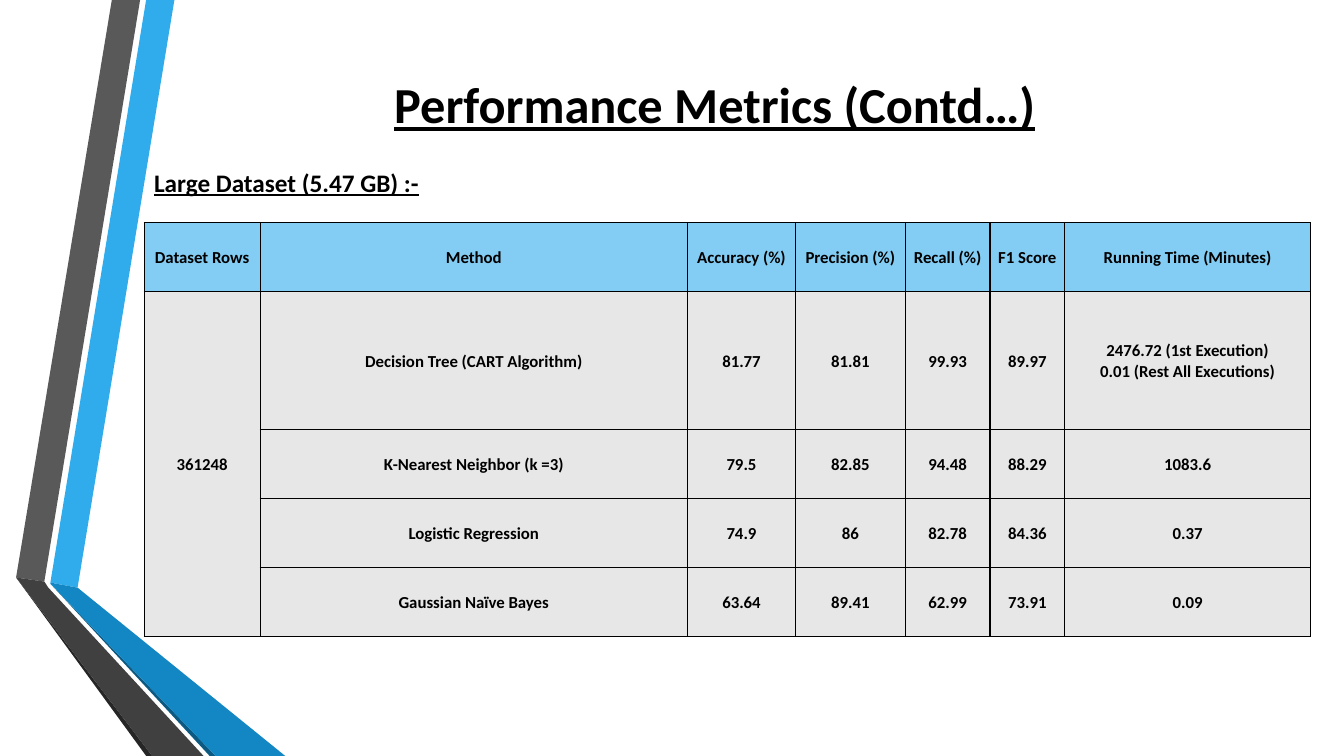
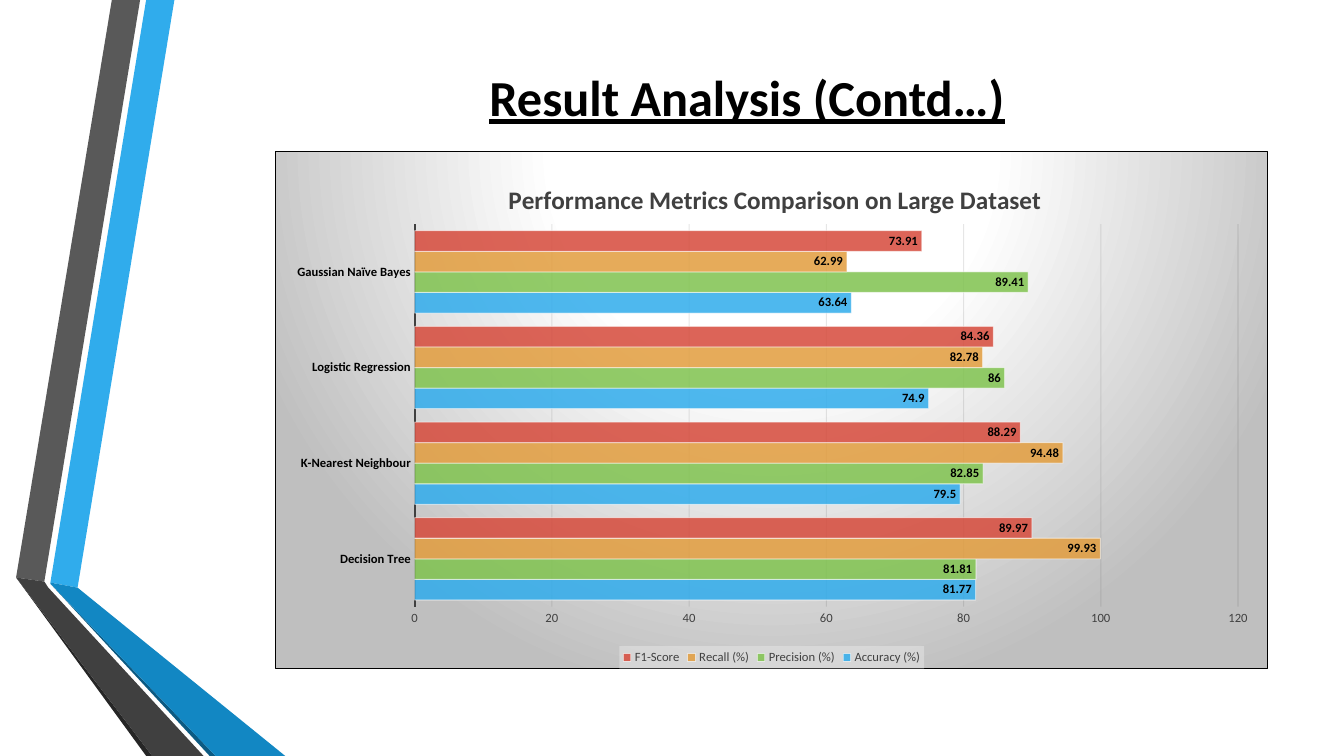
"""Build two slides on classifier performance for the large dataset."""
from dataclasses import dataclass
from typing import Optional

from pptx import Presentation
from pptx.chart.chart import Chart
from pptx.chart.data import CategoryChartData
from pptx.dml.color import RGBColor
from pptx.enum.chart import XL_CHART_TYPE as ChartType
from pptx.enum.chart import XL_LABEL_POSITION as LabelPosition
from pptx.enum.chart import XL_LEGEND_POSITION as LegendPosition
from pptx.enum.chart import XL_TICK_MARK as TickMark
from pptx.enum.text import MSO_ANCHOR as Anchor
from pptx.enum.text import PP_ALIGN as Align
from pptx.oxml import parse_xml
from pptx.oxml.ns import nsdecls, qn
from pptx.slide import Slide, SlideLayout
from pptx.table import _Cell as Cell
from pptx.text.text import Font, _Paragraph as Paragraph
from pptx.util import Inches, Pt


@dataclass(frozen=True)
class Theme:
    font: str = "Calibri"
    black: str = "000000"
    white: str = "FFFFFF"
    soft_text: str = "404040"
    grid: str = "0D0D0D"
    header_fill: str = "83CDF4"
    body_fill: str = "E7E7E7"
    chart_edge: str = "BFBFBF"
    legend_fill: str = "F2F2F2"
    title_size: int = 36
    heading_size: int = 18
    table_size: int = 12
    chart_size: int = 10
    label_size: int = 9


THEME = Theme()


@dataclass(frozen=True)
class Box:
    left: float
    top: float
    width: float
    height: float

    def emu(self) -> tuple:
        return tuple(Inches(v) for v in (self.left, self.top, self.width, self.height))


@dataclass(frozen=True)
class Band:
    color: str
    points: tuple


@dataclass(frozen=True)
class Measure:
    name: str
    color: str
    values: tuple


BANDS = (
    Band("30ACEC", ((0.5, 5.78), (0.77, 5.83), (1.73, 0), (1.45, 0))),
    Band("595959", ((1.39, 0), (1.11, 0), (0.16, 5.73), (0.44, 5.77))),
    Band("262626", ((0.16, 5.73), (1.45, 7.5), (1.51, 7.5))),
    Band("0C5A82", ((0.5, 5.79), (2.08, 7.5), (2.14, 7.5))),
    Band("1287C3", ((0.5, 5.79), (2.14, 7.5), (2.83, 7.5), (0.77, 5.83), (0.5, 5.78))),
    Band("404040", ((2.02, 7.5), (0.48, 5.83), (0.44, 5.77), (0.16, 5.73), (1.51, 7.5))),
)

MEASURES = (
    Measure("Accuracy (%)", "30ACEC", (81.77, 79.5, 74.9, 63.64)),
    Measure("Precision (%)", "80C34F", (81.81, 82.85, 86, 89.41)),
    Measure("Recall (%)", "E29D3E", (99.93, 94.48, 82.78, 62.99)),
    Measure("F1-Score", "D64A3B", (89.97, 88.29, 84.36, 73.91)),
)
CHART_METHODS = ("Decision Tree", "K-Nearest Neighbour", "Logistic Regression",
                 "Gaussian Naïve Bayes")

TABLE_HEADER = ("Dataset Rows", "Method", "Accuracy (%)", "Precision (%)", "Recall (%)",
                "F1 Score", "Running Time (Minutes)")
TABLE_METHODS = ("Decision Tree (CART Algorithm)", "K-Nearest Neighbor (k =3)",
                 "Logistic Regression", "Gaussian Naïve Bayes")
RUNNING_TIMES = ("2476.72 (1st Execution)\n0.01 (Rest All Executions)", "1083.6", "0.37", "0.09")
COLUMN_WIDTHS = (1.15, 4.24, 1.07, 1.09, 0.84, 0.74, 2.44)
ROW_UNITS = (1, 2, 1, 1, 1)


def rgb(color: str) -> RGBColor:
    return RGBColor.from_string(color)


def style_font(font: Font, size: int, color: str = THEME.black,
               bold: bool = False, underline: bool = False) -> None:
    font.name = THEME.font
    font.size = Pt(size)
    font.bold = bold
    font.underline = underline
    font.color.rgb = rgb(color)


def add_text(paragraph: Paragraph, text: str, size: int, underline: bool = False) -> None:
    for index, line in enumerate(text.split("\n")):
        if index:
            paragraph.add_line_break()
        run = paragraph.add_run()
        run.text = line
        style_font(run.font, size, bold=True, underline=underline)


def add_bands(slide: Slide, layout: SlideLayout) -> None:
    """Draw the side bands and place them on the layout behind its title."""
    for placeholder in list(layout.placeholders)[1:]:
        placeholder.element.getparent().remove(placeholder.element)
    for index, band in enumerate(BANDS):
        points = [(Inches(x), Inches(y)) for x, y in band.points]
        builder = slide.shapes.build_freeform(*points[0])
        builder.add_line_segments(points[1:], close=True)
        shape = builder.convert_to_shape()
        shape.shadow.inherit = False
        shape.fill.solid()
        shape.fill.fore_color.rgb = rgb(band.color)
        shape.line.fill.background()
        shape.element.nvSpPr.cNvPr.set("id", str(index + 10))
        layout.shapes.element.insert(index + 2, shape.element)


def set_title(slide: Slide, text: str, box: Box) -> None:
    title = slide.shapes.title
    title.left, title.top, title.width, title.height = box.emu()
    title.text_frame.vertical_anchor = Anchor.MIDDLE
    paragraph = title.text_frame.paragraphs[0]
    paragraph.alignment = Align.CENTER
    add_text(paragraph, text, THEME.title_size, underline=True)


def add_heading(slide: Slide, text: str, box: Box) -> None:
    frame = slide.shapes.add_textbox(*box.emu()).text_frame
    frame.word_wrap = True
    add_text(frame.paragraphs[0], text, THEME.heading_size, underline=True)


def style_cell(cell: Cell, fill: str) -> None:
    properties = cell._tc.get_or_add_tcPr()
    for side in ("lnL", "lnR", "lnT", "lnB"):
        properties.append(parse_xml(
            f'<a:{side} {nsdecls("a")} w="{Pt(1)}"><a:solidFill>'
            f'<a:srgbClr val="{THEME.black}"/></a:solidFill></a:{side}>'))
    cell.fill.solid()
    cell.fill.fore_color.rgb = rgb(fill)
    cell.vertical_anchor = Anchor.MIDDLE
    cell.margin_left = cell.margin_right = cell.margin_top = Inches(0.01)
    cell.margin_bottom = 0


def add_metrics_table(slide: Slide, box: Box) -> None:
    scores = zip(*(measure.values for measure in MEASURES))
    rows = [TABLE_HEADER]
    for index, (method, values, time) in enumerate(zip(TABLE_METHODS, scores, RUNNING_TIMES)):
        rows.append(("" if index else "361248", method, *map(str, values), time))
    table = slide.shapes.add_table(len(rows), len(TABLE_HEADER), *box.emu()).table
    table.horz_banding = False
    for column, width in zip(table.columns, COLUMN_WIDTHS):
        column.width = Inches(width)
    for row, units in zip(table.rows, ROW_UNITS):
        row.height = Inches(box.height * units / sum(ROW_UNITS))
    for row_index, texts in enumerate(rows):
        for column_index, text in enumerate(texts):
            cell = table.cell(row_index, column_index)
            style_cell(cell, THEME.body_fill if row_index else THEME.header_fill)
            paragraph = cell.text_frame.paragraphs[0]
            paragraph.alignment = Align.CENTER
            if text:
                add_text(paragraph, text, THEME.table_size)
    table.cell(1, 0).merge(table.cell(len(rows) - 1, 0))


def set_alpha(element, color_place: str, percent: int) -> None:
    for color in element.xpath(f"c:spPr/{color_place}a:solidFill/a:srgbClr"):
        color.append(parse_xml(f'<a:alpha {nsdecls("a")} val="{percent * 1000}"/>'))


def set_layout(element, x: float, y: float, size: Optional[tuple] = None) -> None:
    """Fix the place of a chart part, in fractions of the chart."""
    layout = element.find(qn("c:layout"))
    if layout is None:
        layout = parse_xml(f'<c:layout {nsdecls("c")}/>')
        element.insert(0, layout)
    target = '<c:layoutTarget val="inner"/>' if size else ""
    extent = f'<c:w val="{size[0]}"/><c:h val="{size[1]}"/>' if size else ""
    layout.append(parse_xml(
        f'<c:manualLayout {nsdecls("c")}>{target}<c:xMode val="edge"/><c:yMode val="edge"/>'
        f'<c:x val="{x}"/><c:y val="{y}"/>{extent}</c:manualLayout>'))


def style_axes(chart: Chart) -> None:
    category, value = chart.category_axis, chart.value_axis
    for axis in (category, value):
        axis.major_tick_mark = axis.minor_tick_mark = TickMark.NONE
    style_font(category.tick_labels.font, THEME.label_size, bold=True)
    category.format.line.color.rgb = rgb(THEME.soft_text)
    category.format.line.width = Pt(1.5)
    style_font(value.tick_labels.font, THEME.label_size, THEME.soft_text)
    value.format.line.fill.background()
    value.minimum_scale, value.maximum_scale, value.major_unit = 0, 120, 20
    value.has_major_gridlines = True
    gridlines = value.major_gridlines.format
    gridlines.line.color.rgb = rgb(THEME.grid)
    gridlines.line.width = Pt(0.75)
    set_alpha(gridlines.element, "a:ln/", 10)


def style_series(chart: Chart) -> None:
    plot = chart.plots[0]
    plot.gap_width, plot.overlap, plot.vary_by_categories = 65, 0, False
    for series, measure in zip(plot.series, MEASURES):
        look = series.format
        look.fill.solid()
        look.fill.fore_color.rgb = rgb(measure.color)
        look.line.color.rgb = rgb(THEME.white)
        look.line.width = Pt(0.75)
        set_alpha(look.element, "", 85)
        set_alpha(look.element, "a:ln/", 50)
        labels = series.data_labels
        labels.show_value = True
        labels.position = LabelPosition.INSIDE_END
        style_font(labels.font, THEME.label_size, bold=True)


def style_legend(chart: Chart) -> None:
    chart.has_legend = True
    legend = chart.legend
    legend.position = LegendPosition.BOTTOM
    legend.include_in_layout = False
    style_font(legend.font, THEME.label_size, THEME.soft_text)
    legend._element.find(qn("c:txPr")).addprevious(parse_xml(
        f'<c:spPr {nsdecls("c", "a")}><a:solidFill><a:srgbClr val="{THEME.legend_fill}">'
        '<a:alpha val="39000"/></a:srgbClr></a:solidFill></c:spPr>'))


def style_chart_area(chart: Chart) -> None:
    """Give the chart a radial gradient and a thin border."""
    stops = "".join(
        f'<a:gs pos="{place * 1000}"><a:srgbClr val="{color}"/></a:gs>'
        for place, color in ((0, THEME.white), (39, THEME.white), (100, THEME.chart_edge)))
    chart.element.find(qn("c:chart")).addnext(parse_xml(
        f'<c:spPr {nsdecls("c", "a")}><a:gradFill><a:gsLst>{stops}</a:gsLst>'
        '<a:path path="circle"><a:fillToRect l="50000" t="-80000" r="50000" b="180000"/>'
        f'</a:path></a:gradFill><a:ln w="{Pt(0.75)}"><a:solidFill>'
        f'<a:srgbClr val="{THEME.black}"/></a:solidFill></a:ln></c:spPr>'))


def add_comparison_chart(slide: Slide, text: str, box: Box) -> None:
    data = CategoryChartData()
    data.categories = CHART_METHODS
    for measure in MEASURES:
        data.add_series(measure.name, measure.values)
    chart = slide.shapes.add_chart(ChartType.BAR_CLUSTERED, *box.emu(), data).chart
    style_font(chart.font, THEME.chart_size)
    chart.has_title = True
    run = chart.chart_title.text_frame.paragraphs[0].add_run()
    run.text = text
    style_font(run.font, THEME.heading_size, THEME.soft_text, bold=True)
    style_axes(chart)
    style_series(chart)
    style_legend(chart)
    style_chart_area(chart)
    set_layout(chart.chart_title._element, 0.23, 0.05)
    set_layout(chart.element.find(".//" + qn("c:plotArea")), 0.14, 0.14, (0.83, 0.74))


def main() -> None:
    presentation = Presentation()
    presentation.slide_width, presentation.slide_height = Inches(13.33), Inches(7.5)
    layout = presentation.slide_layouts[5]

    metrics = presentation.slides.add_slide(layout)
    add_bands(metrics, layout)
    set_title(metrics, "Performance Metrics (Contd…)", Box(1.62, 0.64, 10.94, 0.78))
    add_heading(metrics, "Large Dataset (5.47 GB) :-", Box(1.43, 1.61, 3.82, 0.4))
    add_metrics_table(metrics, Box(1.43, 2.21, 11.57, 4.11))

    results = presentation.slides.add_slide(layout)
    set_title(results, "Result Analysis (Contd…)", Box(1.93, 0.41, 10.96, 1.09))
    add_comparison_chart(results, "Performance Metrics Comparison on Large Dataset",
                         Box(2.73, 1.5, 9.85, 5.14))
    presentation.save("out.pptx")


if __name__ == "__main__":
    main()
